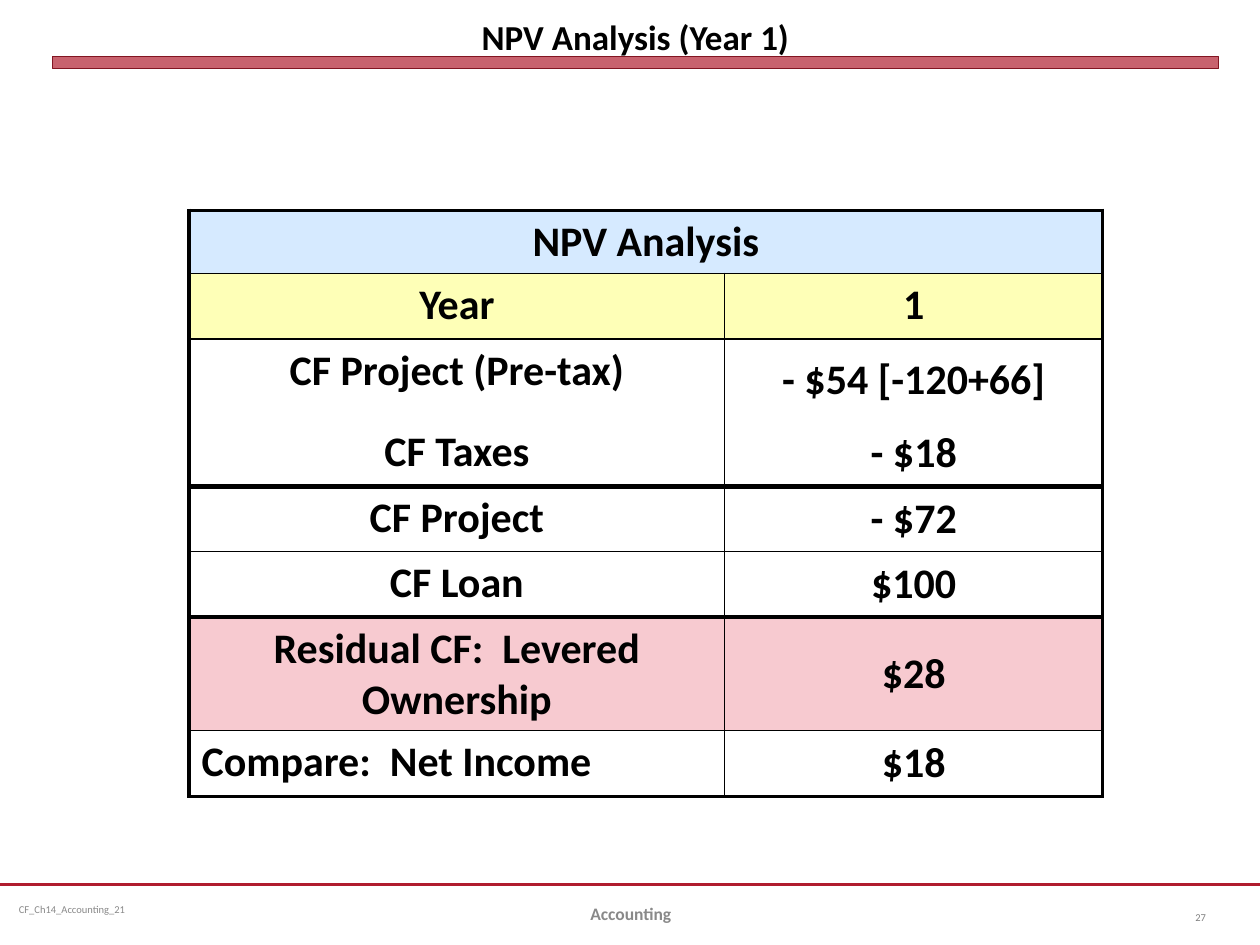
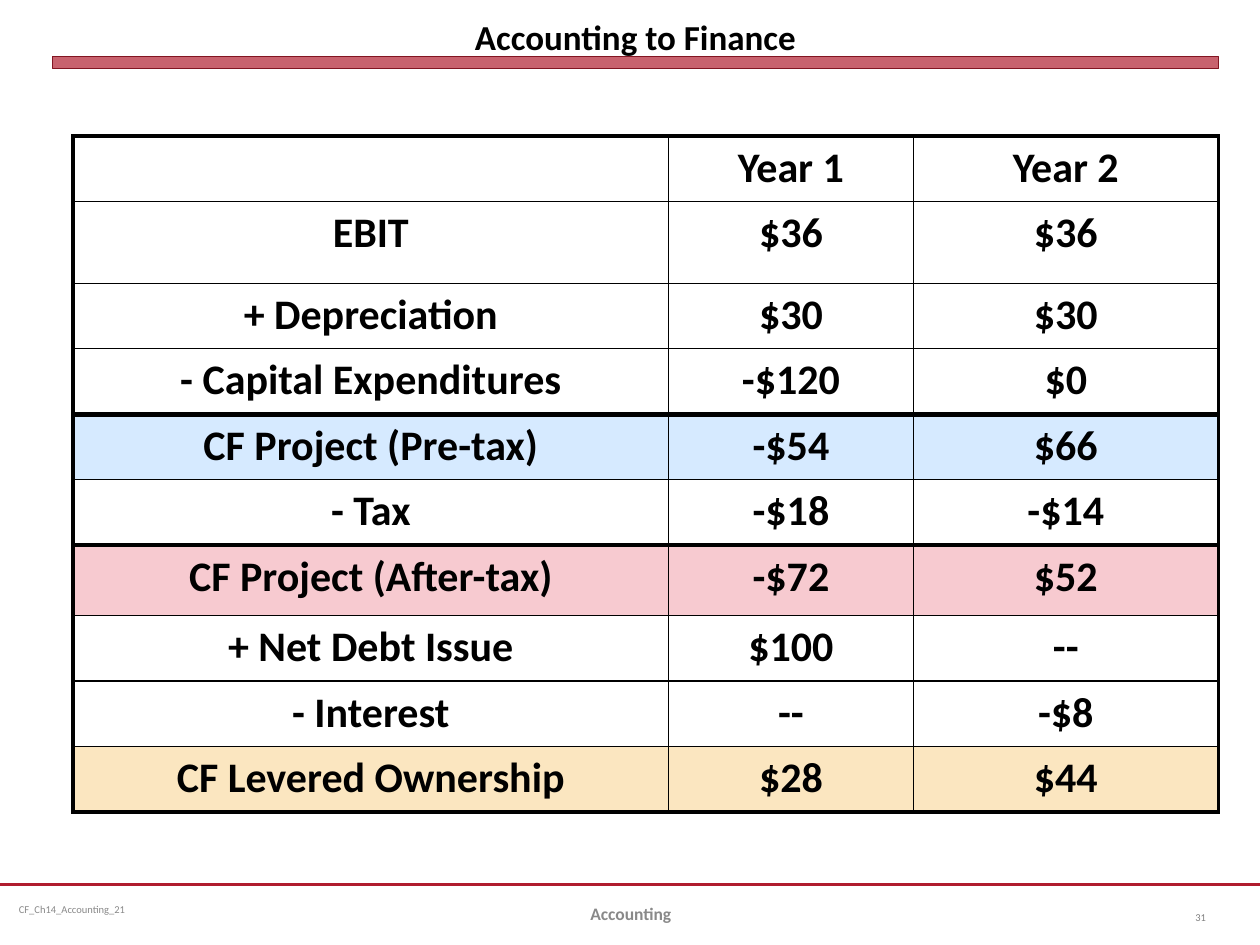
from dataclasses import dataclass
from typing import Any, NamedTuple

from lxml.etree import SubElement
from pptx import Presentation
from pptx.dml.color import RGBColor
from pptx.enum.shapes import MSO_CONNECTOR, MSO_SHAPE
from pptx.enum.text import MSO_ANCHOR as Anchor, PP_ALIGN as Align
from pptx.oxml.ns import qn
from pptx.util import Cm, Pt

# Shared palette
BLACK, RED, DARK_RED = "000000", "B01C2E", "821522"
GREY, MID_GREY = "898989", "808080"
BLUE, YELLOW, PINK, GOLD = "D6EAFF", "FEFFB7", "F7CAD0", "FBE6C0"

# Border weights in points
NONE, THIN, OUTER, HEAVY = 0, 1, 2.25, 3

# Text formats
TITLE_FONT = {"name": "Calibri", "size": Pt(20), "bold": True}
TABLE_FONT = {"name": "Calibri", "size": Pt(24), "bold": True}
TOPIC_FONT = {"name": "Calibri", "size": Pt(10), "bold": True}
SMALL_FONT = {"name": "Calibri", "size": Pt(6), "bold": False}


class Box(NamedTuple):
    left: float
    top: float
    width: float
    height: float

    def cm(self) -> list:
        return [Cm(v) for v in self]


@dataclass
class Label:
    box: Box
    font: dict
    color: str
    align: Any
    anchor: Any = Anchor.MIDDLE
    inset: tuple = (0.25, 0.13)


@dataclass
class Row:
    cells: tuple
    fill: str = ""
    below: float = THIN
    height: float = 1.32
    label_align: Any = Align.CENTER
    value_anchor: Any = Anchor.TOP


@dataclass
class TableSlide:
    title: str
    number: str
    left: float
    top: float
    widths: tuple
    rows: list


TITLE = Label(Box(1.06, 0.13, 23.5, 1.02), TITLE_FONT, BLACK,
              Align.CENTER, Anchor.BOTTOM, (0, 0))
FILE_NAME = Label(Box(0.2, 17.83, 6.55, 1.02), SMALL_FONT, GREY,
                  Align.LEFT, inset=(0.18, 0.1))
TOPIC = Label(Box(8.69, 17.91, 8.05, 1.02), TOPIC_FONT, GREY, Align.CENTER)
NUMBER = Label(Box(23.29, 17.98, 1.27, 1.02), SMALL_FONT, MID_GREY, Align.RIGHT)
BAND = Box(1.06, 1.14, 23.5, 0.25)
FOOTER_TOP = 17.83

MID = Anchor.MIDDLE
SLIDES = [
    TableSlide("NPV Analysis (Year 1)", "27", 3.81, 4.24, (10.8, 7.62), [
        Row(("NPV Analysis",), BLUE, height=1.27),
        Row(("Year", "1"), YELLOW),
        Row(("CF Project (Pre-tax)", "- $54 [-120+66]"), below=NONE,
            height=1.65, value_anchor=MID),
        Row(("CF Taxes", "- $18"), below=HEAVY, value_anchor=MID),
        Row(("CF Project", "- $72"), value_anchor=MID),
        Row(("CF Loan", "$100"), below=HEAVY, value_anchor=MID),
        Row(("Residual CF:  Levered Ownership", "$28"), PINK, height=2.29,
            value_anchor=MID),
        Row(("Compare:  Net Income", "$18"), label_align=Align.LEFT,
            value_anchor=MID),
    ]),
    TableSlide("Accounting to Finance", "31", 1.47, 2.74, (12.01, 4.93, 6.15), [
        Row(("", "Year 1", "Year 2")),
        Row(("EBIT", "$36", "$36"), height=1.65),
        Row(("+ Depreciation", "$30", "$30")),
        Row(("- Capital Expenditures", "-$120", "$0"), below=HEAVY),
        Row(("CF Project (Pre-tax)", "-$54", "$66"), BLUE),
        Row(("- Tax", "-$18", "-$14"), below=HEAVY),
        Row(("CF Project (After-tax)", "-$72", "$52"), PINK, height=1.42),
        Row(("+ Net Debt Issue", "$100", "--")),
        Row(("- Interest", "--", "-$8")),
        Row(("CF Levered Ownership", "$28", "$44"), GOLD),
    ]),
]


def rgb(color: str) -> RGBColor:
    return RGBColor.from_string(color)


def write(tf, text: str, font: dict, color: str, align) -> None:
    p = tf.paragraphs[0]
    p.alignment = align
    if not text:
        return
    r = p.add_run()
    r.text = text
    for name, value in font.items():
        setattr(r.font, name, value)
    r.font.color.rgb = rgb(color)


def add_label(s, label: Label, text: str) -> None:
    tf = s.shapes.add_textbox(*label.box.cm()).text_frame
    across, down = (Cm(v) for v in label.inset)
    settings = {"word_wrap": True, "vertical_anchor": label.anchor,
                "margin_left": across, "margin_right": across,
                "margin_top": down, "margin_bottom": down}
    for name, value in settings.items():
        setattr(tf, name, value)
    write(tf, text, label.font, label.color, label.align)


def add_frame(s, prs, title: str, number: str) -> None:
    # Footer rule
    y = Cm(FOOTER_TOP)
    rule = s.shapes.add_connector(MSO_CONNECTOR.STRAIGHT, 0, y, prs.slide_width, y)
    rule.line.color.rgb = rgb(RED)
    rule.line.width = Pt(1.25)
    SubElement(rule._element.spPr, qn("a:effectLst"))

    # Translucent band under the title
    band = s.shapes.add_shape(MSO_SHAPE.RECTANGLE, *BAND.cm())
    band.shadow.inherit = False
    band.fill.solid()
    band.fill.fore_color.rgb = rgb(RED)
    clr = band._element.spPr.find(qn("a:solidFill")).find(qn("a:srgbClr"))
    SubElement(clr, qn("a:alpha"), val="69000")
    band.line.color.rgb = rgb(DARK_RED)
    band.line.width = Pt(0)

    # Title and footer texts
    add_label(s, TITLE, title)
    add_label(s, FILE_NAME, "CF_Ch14_Accounting_21")
    add_label(s, TOPIC, "Accounting")
    add_label(s, NUMBER, number)


def set_borders(cell, left: float, right: float, top: float, bottom: float) -> None:
    tc_pr = cell._tc.get_or_add_tcPr()
    for side, weight in zip("LRTB", (left, right, top, bottom)):
        ln = SubElement(tc_pr, qn(f"a:ln{side}"), w=str(Pt(weight)))
        if weight:
            fill = SubElement(ln, qn("a:solidFill"))
            SubElement(fill, qn("a:srgbClr"), val=BLACK)
        else:
            SubElement(ln, qn("a:noFill"))


def add_table(s, spec_: TableSlide) -> None:
    rows, widths = spec_.rows, spec_.widths
    box = Box(spec_.left, spec_.top, sum(widths), sum(row.height for row in rows))
    table = s.shapes.add_table(len(rows), len(widths), *box.cm()).table
    table.first_row = table.horz_banding = False
    for column, width in zip(table.columns, widths):
        column.width = Cm(width)

    # Horizontal rules: outer edges, with each row's own rule between
    rules = [OUTER, *(row.below for row in rows[:-1]), OUTER]
    last = len(widths) - 1
    for i, row in enumerate(rows):
        table.rows[i].height = Cm(row.height)
        merged = len(row.cells) == 1
        if merged:
            table.cell(i, 0).merge(table.cell(i, last))
        for j in range(len(widths)):
            cell = table.cell(i, j)
            left = OUTER if j == 0 else THIN
            right = OUTER if j == last or merged else THIN
            set_borders(cell, left, right, rules[i], rules[i + 1])
            if row.fill:
                cell.fill.solid()
                cell.fill.fore_color.rgb = rgb(row.fill)
            else:
                cell.fill.background()
            if j < len(row.cells):
                cell.vertical_anchor = row.value_anchor if j else Anchor.TOP
                align = Align.CENTER if j else row.label_align
                write(cell.text_frame, row.cells[j], TABLE_FONT, BLACK, align)


def main() -> None:
    prs = Presentation()
    prs.slide_width, prs.slide_height = Cm(25.4), Cm(19.05)
    for page in SLIDES:
        s = prs.slides.add_slide(prs.slide_layouts[6])
        add_frame(s, prs, page.title, page.number)
        add_table(s, page)
    prs.save("out.pptx")


if __name__ == "__main__":
    main()
